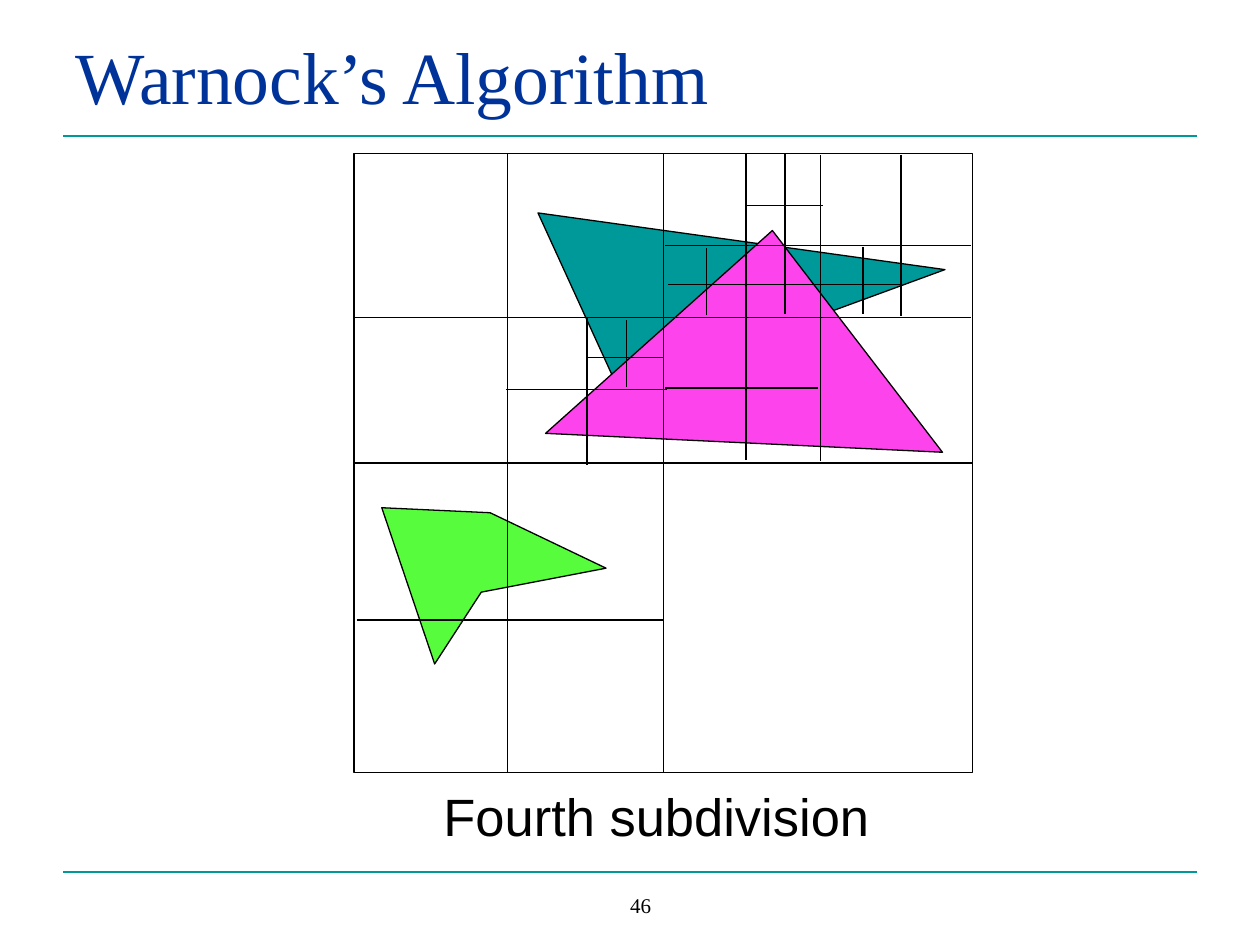
from lxml.etree import SubElement
from pptx import Presentation
from pptx.dml.color import RGBColor
from pptx.enum.shapes import MSO_CONNECTOR, MSO_SHAPE
from pptx.enum.text import MSO_ANCHOR as Anchor, PP_ALIGN as Align
from pptx.oxml.ns import qn
from pptx.util import Inches, Pt

COLORS = {
    "title": "003399",
    "teal": "009999",
    "magenta": "FD43EB",
    "green": "57FC3C",
    "black": "000000",
}

FRAME = (2.81, 1.22, 4.91, 4.91)

POLYGONS = [
    ("teal", [(4.27, 1.69), (4.91, 3.09), (7.5, 2.14)]),
    ("magenta", [(7.48, 3.59), (6.13, 1.83), (4.33, 3.44)]),
    ("green", [(4.81, 4.51), (3.82, 4.7), (3.45, 5.27), (3.03, 4.03), (3.89, 4.07)]),
]

VERTICAL_CUTS = [
    (4.03, 6.13, 1.22),
    (6.51, 3.66, 1.23),
    (7.15, 2.51, 1.23),
    (5.92, 3.65, 1.22),
    (4.66, 3.69, 2.52),
    (5.61, 2.5, 1.97),
    (6.23, 2.49, 1.22),
    (6.85, 2.49, 1.96),
    (4.97, 3.07, 2.54),
]

HORIZONTAL_CUTS = [
    (4.92, 2.83, 5.26),
    (2.52, 2.8, 7.71),
    (3.08, 5.28, 6.49),
    (1.95, 5.28, 7.71),
    (3.09, 4.02, 5.29),
    (2.26, 5.3, 7.15),
    (2.84, 4.66, 5.27),
    (1.63, 5.92, 6.53),
]


def color(name):
    """Return the named colour."""
    return RGBColor.from_string(COLORS[name])


def place(shape, left, top, width, height):
    """Set the position and size of a shape in inches."""
    shape.left, shape.top = Inches(left), Inches(top)
    shape.width, shape.height = Inches(width), Inches(height)


def write(shape, text, size, font, tint, align, anchor):
    """Fill a shape with one formatted paragraph."""
    frame = shape.text_frame
    frame.word_wrap = True
    frame.vertical_anchor = anchor
    frame.text = text
    para = frame.paragraphs[0]
    para.alignment = align
    span = para.runs[0]
    span.font.size = Pt(size)
    span.font.name = font
    span.font.color.rgb = color(tint)


def add_text(page, area, *style):
    """Add a text box."""
    box = page.shapes.add_textbox(*map(Inches, area))
    write(box, *style)


def add_line(page, start, end, tint="black", width=0.75):
    """Add a straight line without a shadow."""
    line = page.shapes.add_connector(
        MSO_CONNECTOR.STRAIGHT, *map(Inches, (*start, *end)))
    line.line.color.rgb = color(tint)
    line.line.width = Pt(width)
    SubElement(line._element.spPr, qn("a:effectLst"))
    return line


def outline(shape):
    """Give a shape a thin black outline and no shadow."""
    shape.shadow.inherit = False
    shape.line.color.rgb = color("black")
    shape.line.width = Pt(0.75)


def add_frame(page):
    """Add the square viewport."""
    frame = page.shapes.add_shape(MSO_SHAPE.RECTANGLE, *map(Inches, FRAME))
    frame.fill.background()
    outline(frame)
    return frame


def add_polygon(page, tint, points):
    """Add a filled closed polygon."""
    first, *rest = [(Inches(x), Inches(y)) for x, y in points]
    builder = page.shapes.build_freeform(*first)
    builder.add_line_segments(rest, close=True)
    polygon = builder.convert_to_shape()
    polygon.fill.solid()
    polygon.fill.fore_color.rgb = color(tint)
    outline(polygon)


def add_first_cuts(page, frame):
    """Halve the viewport both ways, joined to the middles of its sides."""
    left, top, width, height = FRAME
    middle_x, middle_y = left + width / 2, top + height / 2
    across = add_line(page, (left, middle_y), (left + width, middle_y))
    across.begin_connect(frame, 1)
    across.end_connect(frame, 3)
    upright = add_line(page, (middle_x, top + height), (middle_x, top))
    upright.begin_connect(frame, 2)
    upright.end_connect(frame, 0)


def main():
    """Build the slide and save it."""
    deck = Presentation()
    deck.slide_width, deck.slide_height = Inches(10), Inches(7.5)
    page = deck.slides.add_slide(deck.slide_layouts[5])

    for y in (6.92, 1.08):
        add_line(page, (0.5, y), (9.5, y), "teal", 1)
    title = page.shapes.title
    place(title, 0.5, 0.3, 9, 0.7)
    write(title, "Warnock’s Algorithm", 42, "Times New Roman", "title",
          Align.LEFT, Anchor.BOTTOM)
    add_text(page, (3.92, 7, 2.33, 0.33), "46", 12, "Times New Roman", "black",
             Align.CENTER, Anchor.BOTTOM)
    add_text(page, (0.67, 6.17, 9.08, 0.64), "Fourth subdivision", 30, "Arial",
             "black", Align.CENTER, Anchor.TOP)

    frame = add_frame(page)
    for tint, points in POLYGONS:
        add_polygon(page, tint, points)
    add_first_cuts(page, frame)
    for x, bottom, top in VERTICAL_CUTS:
        add_line(page, (x, bottom), (x, top))
    for y, left, right in HORIZONTAL_CUTS:
        add_line(page, (left, y), (right, y))

    deck.save("out.pptx")


if __name__ == "__main__":
    main()
